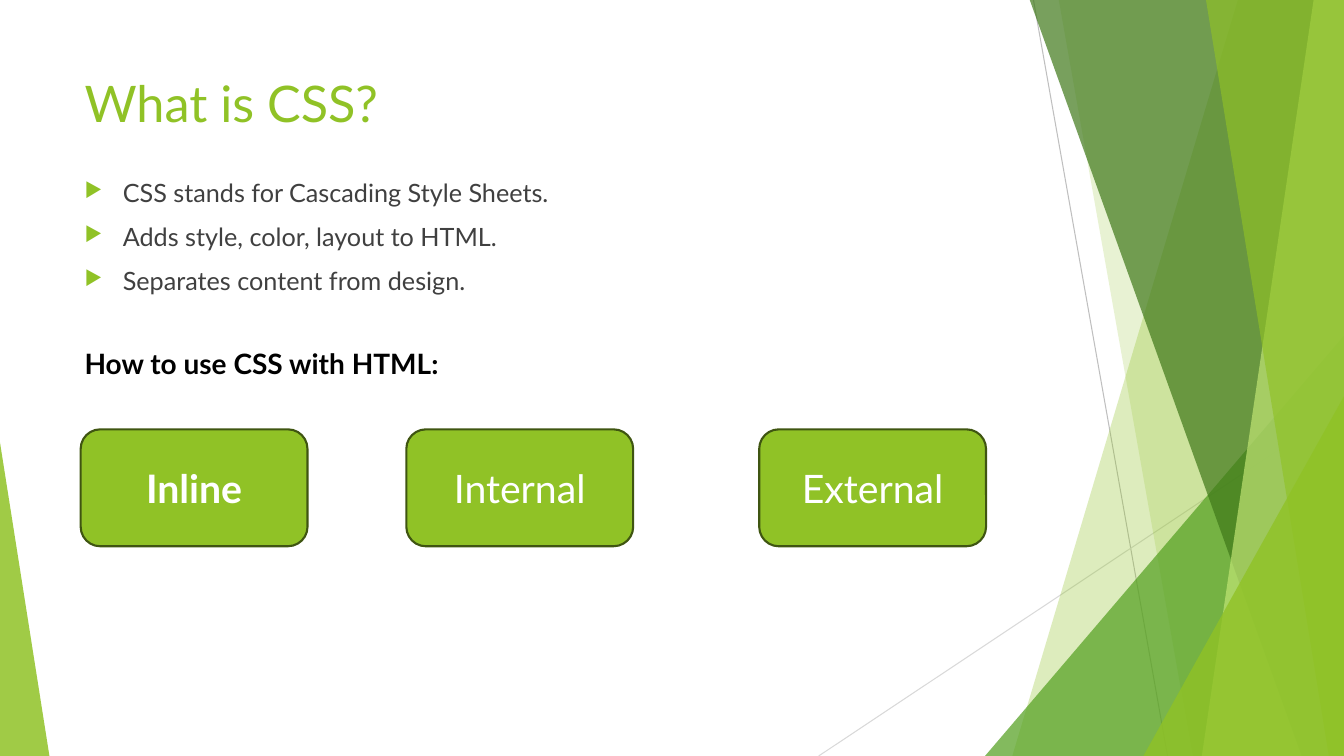
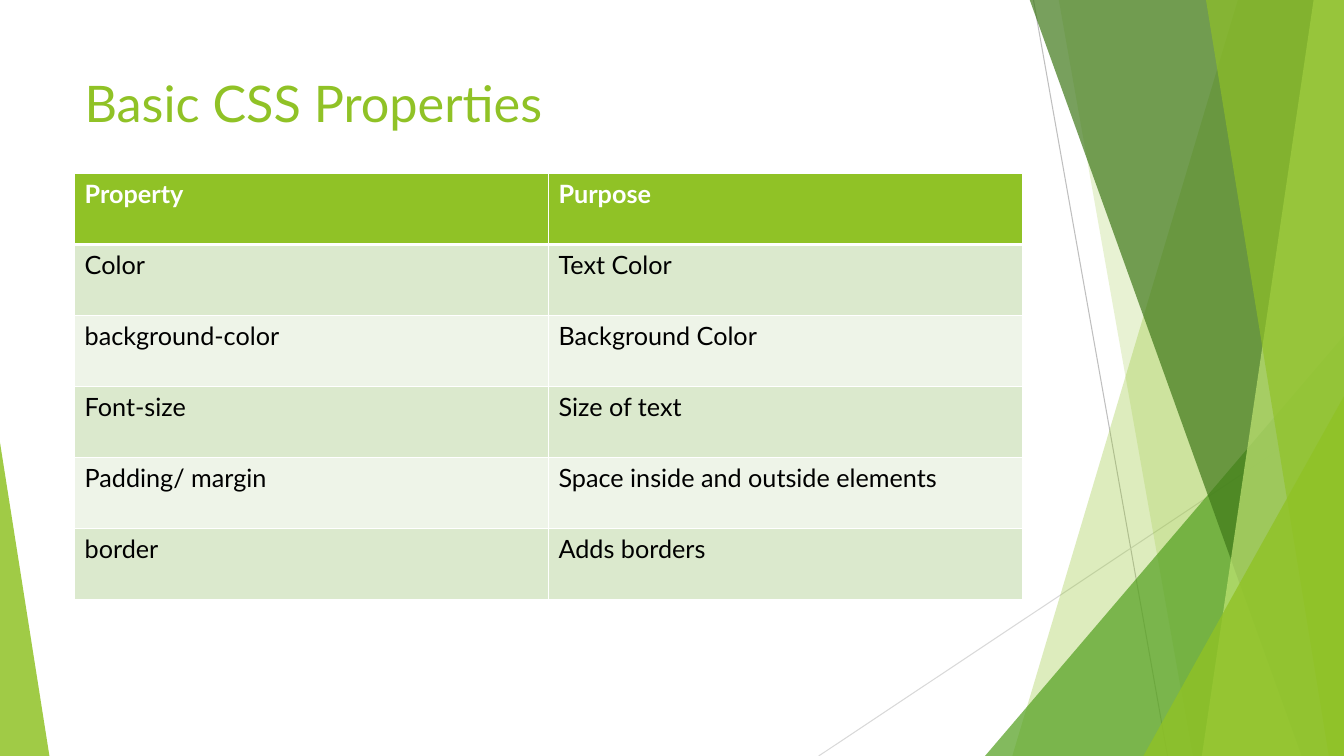
import pptx
import pptx.dml.color
import pptx.enum.shapes
import pptx.enum.text
import pptx.oxml.ns
import pptx.oxml.xmlchemy
import pptx.util
from lxml import etree

Inches = pptx.util.Inches
qn = pptx.oxml.ns.qn
SHAPES = pptx.enum.shapes.MSO_SHAPE
ANCHOR = pptx.enum.text.MSO_ANCHOR
ALIGN = pptx.enum.text.PP_ALIGN

WIDTH, HEIGHT = 13.33, 7.5
MARGIN, CONTENT_WIDTH = 0.74, 9.4
FONT = "Lato"
COLORS = {
    "green": "90C226",
    "mid_green": "54A021",
    "dark_green": "3F7819",
    "pale_green": "C0E474",
    "outline": "3F5511",
    "body": "404040",
    "black": "000000",
    "white": "FFFFFF",
    "gray": "BFBFBF",
    "light_gray": "D9D9D9",
    "band_dark": "DBE9CD",
    "band_light": "EEF4E8",
}

# Background facets from back to front: top left x, top right x,
# bottom left x, color, opacity; or triangle box, apex, color, opacity
FACETS = [
    ("band", (12.28, WIDTH, WIDTH, 10.04), "green", 30),
    ("band", (10.5, WIDTH, WIDTH, 11.83), "green", 20),
    ("triangle", (9.77, 3.33, 3.56, 4.17, 1), "mid_green", 72),
    ("band", (10.21, WIDTH, WIDTH, 12.91), "dark_green", 70),
    ("band", (13.03, WIDTH, WIDTH, 11.92), "pale_green", 70),
    ("band", (11.96, WIDTH, WIDTH, 13.18), "green", 65),
    ("triangle", (11.34, 3.93, 1.99, 3.57, 1), "green", 80),
    ("triangle", (0, 4.39, 0.49, 3.11, 0), "green", 85),
]


def rgb(name):
    return pptx.dml.color.RGBColor.from_string(COLORS[name])


# Text
def write_text(paragraph, text, size=18, color="black", bold=False, align=None):
    run = paragraph.add_run()
    run.text = text
    run.font.name = FONT
    run.font.size = pptx.util.Pt(size)
    run.font.bold = bold
    run.font.color.rgb = rgb(color)
    if align is not None:
        paragraph.alignment = align


def add_text_box(slide, left, top, width, height):
    box = slide.shapes.add_textbox(
        Inches(left), Inches(top), Inches(width), Inches(height))
    box.text_frame.word_wrap = True
    return box.text_frame


def add_bullet(paragraph):
    paragraph.space_before = pptx.util.Pt(10)
    properties = paragraph._p.get_or_add_pPr()
    properties.set("marL", str(Inches(0.38)))
    properties.set("indent", str(Inches(-0.38)))
    bullet_color = etree.SubElement(properties, qn("a:buClr"))
    etree.SubElement(bullet_color, qn("a:srgbClr"), val=COLORS["green"])
    etree.SubElement(properties, qn("a:buSzPct"), val="80000")
    etree.SubElement(properties, qn("a:buChar"), char="▶")


def add_bullets(slide, top, height, items):
    frame = add_text_box(slide, MARGIN, top, CONTENT_WIDTH, height)
    for index, item in enumerate(items):
        paragraph = frame.add_paragraph() if index else frame.paragraphs[0]
        add_bullet(paragraph)
        write_text(paragraph, item, color="body")


# Shapes
def fill_shape(shape, color, opacity=100):
    shape.shadow.inherit = False
    shape.fill.solid()
    shape.fill.fore_color.rgb = rgb(color)
    shape.line.fill.background()
    if opacity < 100:
        fill_color = shape.element.spPr.find(
            qn("a:solidFill") + "/" + qn("a:srgbClr"))
        etree.SubElement(fill_color, qn("a:alpha"), val=str(opacity * 1000))


def add_band(slide, corners):
    top_left, top_right, bottom_right, bottom_left = corners
    builder = slide.shapes.build_freeform(Inches(top_left), Inches(-0.01))
    builder.add_line_segments([
        (Inches(top_right), Inches(-0.01)),
        (Inches(bottom_right), Inches(HEIGHT)),
        (Inches(bottom_left), Inches(HEIGHT)),
    ], close=True)
    return builder.convert_to_shape()


def add_triangle(slide, geometry):
    *box, apex = geometry
    triangle = slide.shapes.add_shape(
        SHAPES.ISOSCELES_TRIANGLE, *(Inches(value) for value in box))
    triangle.adjustments[0] = apex
    return triangle


def add_line(slide, start, end, color):
    line = slide.shapes.add_connector(
        pptx.enum.shapes.MSO_CONNECTOR.STRAIGHT,
        *(Inches(value) for value in start + end))
    line.line.color.rgb = rgb(color)
    line.line.width = pptx.util.Pt(0.75)
    etree.SubElement(line.element.spPr, qn("a:effectLst"))


def add_button(slide, left, text, bold):
    button = slide.shapes.add_shape(
        SHAPES.ROUNDED_RECTANGLE,
        Inches(left), Inches(4.26), Inches(2.25), Inches(1.16))
    fill_shape(button, "green")
    button.line.color.rgb = rgb("outline")
    button.line.width = pptx.util.Pt(1.5)
    frame = button.text_frame
    frame.vertical_anchor = ANCHOR.MIDDLE
    write_text(frame.paragraphs[0], text, size=28, color="white", bold=bold,
               align=ALIGN.CENTER)


# Table
def set_borders(cell, **widths):
    properties = cell._tc.get_or_add_tcPr()
    for side in ("L", "R", "T", "B"):
        border = etree.SubElement(
            properties, qn("a:ln" + side),
            w=str(pptx.util.Pt(widths.get(side, 1))))
        fill = etree.SubElement(border, qn("a:solidFill"))
        etree.SubElement(fill, qn("a:srgbClr"), val=COLORS["white"])


def add_property_table(slide, rows):
    row_height = 0.705
    table = slide.shapes.add_table(
        len(rows), len(rows[0]), Inches(MARGIN), Inches(1.72),
        Inches(CONTENT_WIDTH), Inches(row_height * len(rows))).table
    for row_index, row in enumerate(rows):
        header = row_index == 0
        band = "band_dark" if row_index % 2 else "band_light"
        for column_index, text in enumerate(row):
            cell = table.cell(row_index, column_index)
            set_borders(cell, B=3 if header else 1, T=3 if row_index == 1 else 1)
            cell.fill.solid()
            cell.fill.fore_color.rgb = rgb("green" if header else band)
            write_text(cell.text_frame.paragraphs[0], text, bold=header,
                       color="white" if header else "black")


# Shared slide frame
def add_background(slide):
    add_line(slide, (10.25, 0), (11.58, HEIGHT), "gray")
    add_line(slide, (WIDTH, 4.03), (8.12, HEIGHT), "light_gray")
    builders = {"band": add_band, "triangle": add_triangle}
    for kind, geometry, color, opacity in FACETS:
        fill_shape(builders[kind](slide, geometry), color, opacity)


def add_slide(presentation, title):
    slide = presentation.slides.add_slide(presentation.slide_layouts[6])
    add_background(slide)
    frame = add_text_box(slide, MARGIN, 0.67, CONTENT_WIDTH, 0.8)
    write_text(frame.paragraphs[0], title, size=36, color="green")
    return slide


def main():
    presentation = pptx.Presentation()
    presentation.slide_width = Inches(WIDTH)
    presentation.slide_height = Inches(HEIGHT)

    # What CSS is and the ways to use it
    slide = add_slide(presentation, "What is CSS?")
    add_bullets(slide, 1.71, 1.46, [
        "CSS stands for Cascading Style Sheets.",
        "Adds style, color, layout to HTML.",
        "Separates content from design.",
    ])
    heading = add_text_box(slide, MARGIN, 3.39, 6.06, 0.44)
    write_text(heading.paragraphs[0], "How to use CSS with HTML:",
               size=20, bold=True)
    for left, text, bold in [(0.8, "Inline", True), (4.03, "Internal", False),
                             (7.53, "External", False)]:
        add_button(slide, left, text, bold)

    # Property table
    slide = add_slide(presentation, "Basic CSS Properties")
    add_property_table(slide, [
        ("Property", "Purpose"),
        ("Color", "Text Color"),
        ("background-color", "Background Color"),
        ("Font-size", "Size of text"),
        ("Padding/ margin", "Space inside and outside elements"),
        ("border", "Adds borders"),
    ])

    presentation.save("out.pptx")


if __name__ == "__main__":
    main()
